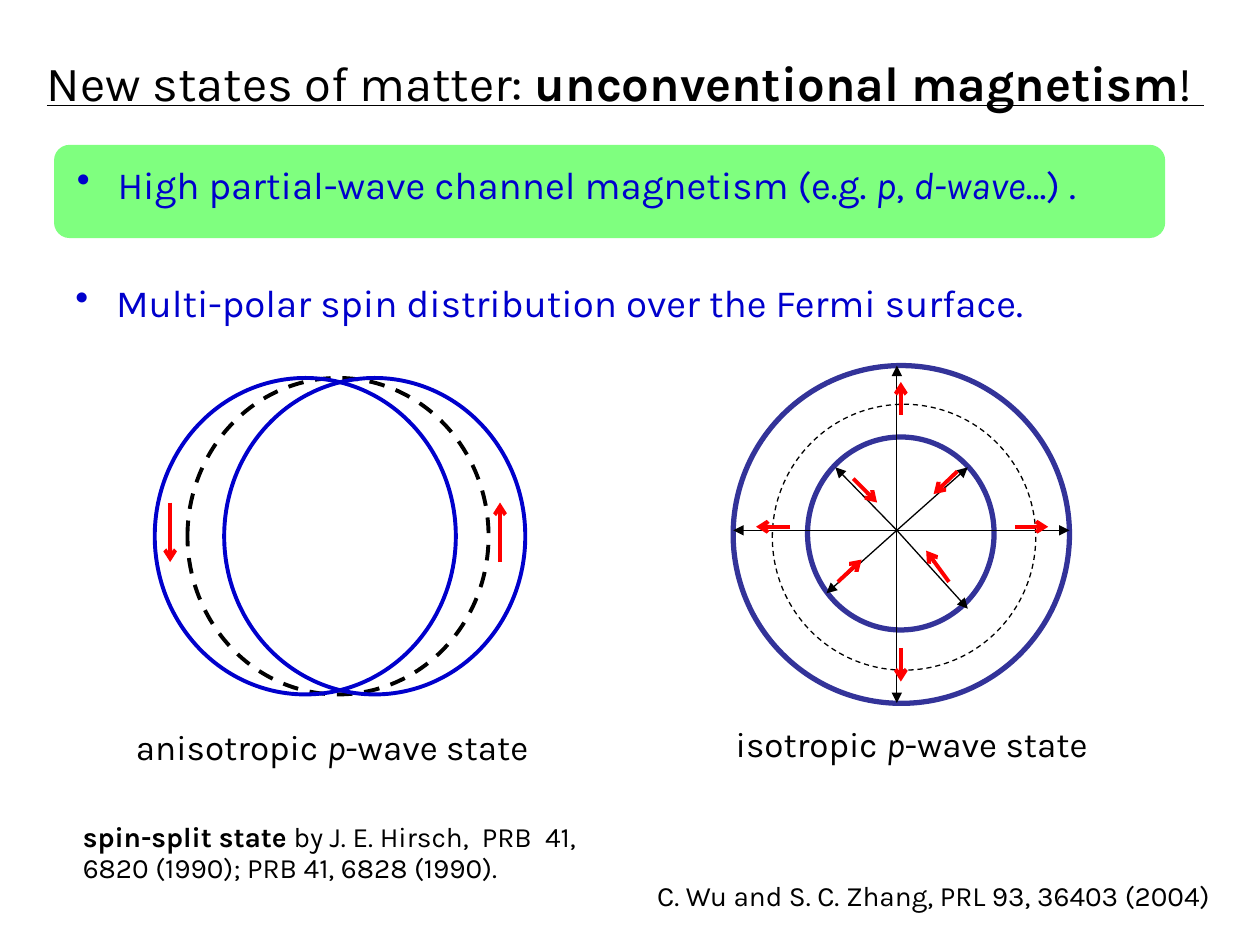
"""Build a slide on unconventional magnetism with two Fermi surface sketches."""
from dataclasses import dataclass
from typing import NamedTuple

from lxml.etree import SubElement
from pptx import Presentation
from pptx.dml.color import RGBColor as Rgb
from pptx.enum.dml import MSO_LINE as Dash
from pptx.enum.shapes import MSO_CONNECTOR as Conn, MSO_SHAPE as Kind
from pptx.enum.text import MSO_ANCHOR as Anchor, MSO_AUTO_SIZE as Fit, PP_ALIGN as Align
from pptx.oxml.ns import qn
from pptx.util import Cm, Pt


@dataclass(frozen=True)
class Theme:
    """Colours, font and type sizes of the slide."""
    font: str = "Karla"
    black: str = "000000"
    blue: str = "0000CC"
    navy: str = "333399"
    red: str = "FF0000"
    green: str = "00FF00"
    head: int = 28
    point: int = 22
    label: int = 20
    cite: int = 16


class Box(NamedTuple):
    """Left, top, width and height in centimetres."""
    x: float
    y: float
    w: float
    h: float


class Run(NamedTuple):
    """A stretch of text with its own font values."""
    text: str
    fmt: dict = {}


class Note(NamedTuple):
    """A text box with one paragraph."""
    box: Box
    size: int
    color: str
    runs: list[Run]
    bullet: bool = False
    lead: float = 1.0


class Ring(NamedTuple):
    """An outlined ellipse."""
    box: Box
    color: str
    width: float
    dashed: bool = False


class Ray(NamedTuple):
    """An arrow between two points."""
    start: tuple[float, float]
    end: tuple[float, float]


T = Theme()
BOLD, ITAL = {"bold": True}, {"italic": True}
P_WAVE = [Run("p", ITAL), Run("-wave state")]
TITLE = [Run("New states of matter: "), Run("unconventional magnetism", BOLD), Run("! ")]
PANEL = Box(1.09, 2.92, 22.4, 1.88)
HUB = (18.08, 10.69)
TIPS = [(14.78, 10.69), (21.56, 10.69), (18.08, 7.37), (18.08, 14.17),
        (19.51, 9.42), (16.66, 11.96), (16.84, 9.42), (19.51, 12.27)]
SPINS = [
    Ray((15.93, 10.62), (15.24, 10.62)), Ray((20.47, 10.62), (21.13, 10.62)),
    Ray((18.16, 8.36), (18.16, 7.7)), Ray((18.16, 13.06), (18.16, 13.74)),
    Ray((19.3, 9.5), (18.82, 9.96)), Ray((16.89, 11.73), (17.37, 11.28)),
    Ray((17.2, 9.65), (17.68, 10.13)), Ray((19.13, 11.73), (18.67, 11.1)),
    Ray((10.08, 11.33), (10.08, 10.13)), Ray((3.43, 10.13), (3.43, 11.33)),
]
RINGS = [
    Ring(Box(14.78, 7.37, 6.78, 6.81), T.navy, 3),
    Ring(Box(16.28, 8.81, 3.76, 3.89), T.navy, 3),
    Ring(Box(15.57, 8.15, 5.31, 5.36), T.black, 0.75, True),
] + [Ring(Box(x, 7.62, 6.07, 6.38), color, 2.25, dashed)
     for x, color, dashed in [(3.78, T.black, True), (3.12, T.blue, False), (4.52, T.blue, False)]]
NOTES = [
    Note(Box(1.3, 3.12, 22.4, 1.19), T.point, T.blue,
         [Run("High partial-wave channel magnetism (e.g. "), Run("p", ITAL), Run(", "),
          Run("d-wave", ITAL), Run("…) .")], True),
    Note(Box(1.27, 5.51, 21.67, 1.19), T.point, T.blue,
         [Run("Multi-polar spin distribution over the Fermi surface.")], True),
    Note(Box(14.58, 14.45, 7.82, 1.12), T.label, T.black, [Run("isotropic "), *P_WAVE]),
    Note(Box(2.49, 14.5, 9.17, 1.12), T.label, T.black, [Run("anisotropic "), *P_WAVE]),
    Note(Box(1.42, 16.48, 10.87, 1.5), T.cite, T.black,
         [Run("spin-split state", BOLD),
          Run(" by J. E. Hirsch,  PRB  41, 6820 (1990); PRB 41, 6828 (1990).")], lead=0.9),
    Note(Box(13, 17.58, 11.99, 0.94), T.cite, T.black,
         [Run("C. Wu and S. C. Zhang, PRL 93, 36403 (2004)")]),
]


def apply(item, fmt: dict) -> None:
    """Set each named value on the item."""
    for name, value in fmt.items():
        setattr(item, name, value)


def place(box: Box) -> list[int]:
    """Turn a box into slide lengths."""
    return [Cm(v) for v in box]


def write(para, runs: list[Run], size: int, color: str, **extra) -> None:
    """Add the runs to a paragraph."""
    base = {"name": T.font, "size": Pt(size), "bold": False, "italic": False}
    for part in runs:
        run = para.add_run()
        run.text = part.text
        apply(run.font, base | extra | part.fmt)
        run.font.color.rgb = Rgb.from_string(color)


def add_title(slide) -> None:
    """Fill and place the title."""
    title = slide.shapes.title
    apply(title, dict(zip(("left", "top", "width", "height"), place(Box(0.61, 1.09, 24, 1.14)))))
    frame = title.text_frame
    apply(frame, {"word_wrap": True, "auto_size": Fit.NONE, "vertical_anchor": Anchor.MIDDLE})
    para = frame.paragraphs[0]
    para.alignment = Align.CENTER
    write(para, TITLE, T.head, T.black, underline=True)


def add_note(slide, note: Note) -> None:
    """Draw a text box, with a bullet if asked."""
    frame = slide.shapes.add_textbox(*place(note.box)).text_frame
    apply(frame, {"word_wrap": True, "auto_size": Fit.SHAPE_TO_FIT_TEXT})
    para = frame.paragraphs[0]
    apply(para, {"alignment": Align.LEFT, "line_spacing": note.lead})
    if note.bullet:
        props = para._p.get_or_add_pPr()
        props.set("marL", str(Cm(0.82)))
        props.set("indent", str(-Cm(0.82)))
        SubElement(props, qn("a:buChar"), char="•")
    write(para, note.runs, note.size, note.color)


def add_panel(slide) -> None:
    """Draw the half-clear panel behind the first point."""
    panel = slide.shapes.add_shape(Kind.ROUNDED_RECTANGLE, *place(PANEL))
    panel.shadow.inherit = False
    panel.line.fill.background()
    panel.fill.solid()
    panel.fill.fore_color.rgb = Rgb.from_string(T.green)
    tint = panel._element.spPr.find(f".//{qn('a:srgbClr')}")
    SubElement(tint, qn("a:alpha"), val="50000")


def add_ring(slide, ring: Ring) -> None:
    """Draw an ellipse outline."""
    shape = slide.shapes.add_shape(Kind.OVAL, *place(ring.box))
    shape.shadow.inherit = False
    shape.fill.background()
    shape.line.color.rgb = Rgb.from_string(ring.color)
    apply(shape.line, {"width": Pt(ring.width),
                       "dash_style": Dash.DASH if ring.dashed else Dash.SOLID})


def add_ray(slide, ray: Ray, color: str, width: float, tip: str) -> None:
    """Draw an arrow with the given tip."""
    line = slide.shapes.add_connector(Conn.STRAIGHT, *map(Cm, ray.start + ray.end))
    line.line.color.rgb = Rgb.from_string(color)
    line.line.width = Pt(width)
    SubElement(line.line._get_or_add_ln(), qn("a:tailEnd"), type=tip)
    SubElement(line._element.spPr, qn("a:effectLst"))


def main() -> None:
    """Build and save the slide."""
    deck = Presentation()
    apply(deck, {"slide_width": Cm(25.4), "slide_height": Cm(19.05)})
    slide = deck.slides.add_slide(deck.slide_layouts[5])
    add_title(slide)
    add_panel(slide)
    for ring in RINGS:
        add_ring(slide, ring)
    for tip in TIPS:
        add_ray(slide, Ray(HUB, tip), T.black, 0.75, "triangle")
    for spin in SPINS:
        add_ray(slide, spin, T.red, 2.25, "arrow")
    for note in NOTES:
        add_note(slide, note)
    deck.save("out.pptx")


if __name__ == "__main__":
    main()
